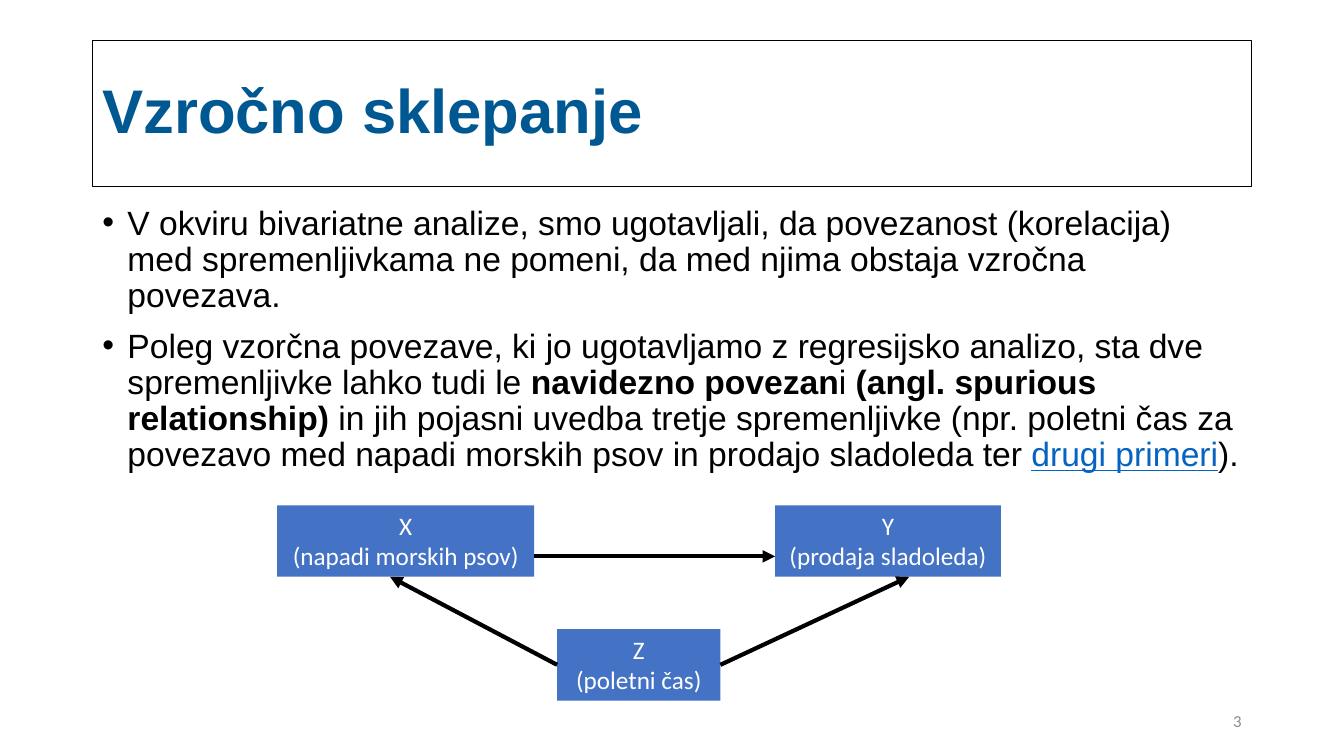
import pptx
import pptx.util
import pptx.dml.color
import pptx.enum.shapes
import pptx.enum.text
from lxml import etree

Pt = pptx.util.Pt
Align = pptx.enum.text.PP_ALIGN
Anchor = pptx.enum.text.MSO_ANCHOR
Kind = pptx.enum.shapes.MSO_SHAPE
Wire = pptx.enum.shapes.MSO_CONNECTOR

COLORS = {
    "white": "FFFFFF", "black": "000000", "title": "005892",
    "link": "0563C1", "box": "4472C4", "gray": "8C8C8C",
}
TITLE = "Vzročno sklepanje"
PAGE = "3"
POINTS = [
    [("V okviru bivariatne analize, smo ugotavljali, da povezanost (korelacija) "
      "med spremenljivkama ne pomeni, da med njima obstaja vzročna povezava.", "")],
    [("Poleg vzorčna povezave, ki jo ugotavljamo z regresijsko analizo, sta dve "
      "spremenljivke lahko tudi le ", ""),
     ("navidezno povezan", "bold"),
     ("i ", ""),
     ("(angl. spurious relationship) ", "bold"),
     ("in jih pojasni uvedba tretje spremenljivke (npr. poletni čas za povezavo "
      "med napadi morskih psov in prodajo sladoleda ter ", ""),
     ("drugi primeri", "link"),
     (").", "")],
]
BOXES = {
    "X": ("(napadi morskih psov)", 198, 361, 183.6),
    "Y": ("(prodaja sladoleda)", 553.7, 361, 161.3),
    "Z": ("(poletni čas)", 398, 449.4, 116.6),
}
HIGH = 51
ARROWS = [
    ("Z", 3, (514.6, 474.9), (649.4, 412)),
    ("Z", 1, (398, 474.9), (278.6, 412)),
    (None, None, (381.6, 397.4), (553.7, 397.4)),
]


def color(name):
    return pptx.dml.color.RGBColor.from_string(COLORS[name])


def style(run, size, tone, face="Arial", bold=False):
    run.font.size = Pt(size)
    run.font.name = face
    run.font.bold = bold
    run.font.color.rgb = color(tone)


def add_rect(slide, spot, fill):
    rect = slide.shapes.add_shape(Kind.RECTANGLE, *map(Pt, spot))
    rect.shadow.inherit = False
    rect.fill.solid()
    rect.fill.fore_color.rgb = color(fill)
    rect.line.fill.background()
    return rect


def add_title(slide):
    rect = add_rect(slide, (66, 28.75, 828, 104.4), "white")
    rect.line.color.rgb = color("black")
    rect.line.width = Pt(1)
    frame = rect.text_frame
    frame.text = TITLE
    frame.word_wrap = True
    frame.vertical_anchor = Anchor.MIDDLE
    para = frame.paragraphs[0]
    para.alignment = Align.LEFT
    para.line_spacing = 0.9
    style(para.runs[0], 44, "title", bold=True)


def add_body(slide):
    frame = slide.shapes.add_textbox(*map(Pt, (66, 143.75, 828, 342.7))).text_frame
    frame.word_wrap = True
    for i, parts in enumerate(POINTS):
        para = frame.add_paragraph() if i else frame.paragraphs[0]
        para.line_spacing = 0.9
        para.space_before = Pt(10)
        props = para._p.get_or_add_pPr()
        props.set("marL", str(Pt(18)))
        props.set("indent", str(-Pt(18)))
        for tag, key, value in (("buFont", "typeface", "Arial"), ("buChar", "char", "•")):
            etree.SubElement(props, pptx.oxml.ns.qn("a:" + tag)).set(key, value)
        for text, look in parts:
            run = para.add_run()
            run.text = text
            style(run, 24, "link" if look == "link" else "black", bold=look == "bold")
            run.font.underline = look == "link"


def add_page(slide):
    frame = slide.shapes.add_textbox(*map(Pt, (678, 500.5, 216, 28.75))).text_frame
    frame.text = PAGE
    frame.word_wrap = True
    frame.vertical_anchor = Anchor.MIDDLE
    frame.paragraphs[0].alignment = Align.RIGHT
    style(frame.paragraphs[0].runs[0], 12, "gray", "Calibri")


def add_box(slide, name):
    label, left, top, wide = BOXES[name]
    rect = add_rect(slide, (left, top, wide, HIGH), "box")
    frame = rect.text_frame
    frame.text = name + "\n" + label
    frame.word_wrap = False
    frame.vertical_anchor = Anchor.TOP
    for para in frame.paragraphs:
        para.alignment = Align.CENTER
        style(para.runs[0], 18, "white", "Calibri")
    return rect


def add_arrow(slide, start, end):
    wire = slide.shapes.add_connector(Wire.STRAIGHT, *map(Pt, start + end))
    wire.line.color.rgb = color("black")
    wire.line.width = Pt(3)
    tail = etree.SubElement(wire.line._get_or_add_ln(), pptx.oxml.ns.qn("a:tailEnd"))
    tail.set("type", "triangle")
    etree.SubElement(wire._element.spPr, pptx.oxml.ns.qn("a:effectLst"))
    return wire


def main():
    deck = pptx.Presentation()
    deck.slide_width, deck.slide_height = Pt(960), Pt(540)
    slide = deck.slides.add_slide(deck.slide_layouts[6])
    add_title(slide)
    add_body(slide)
    add_page(slide)
    boxes = {name: add_box(slide, name) for name in BOXES}
    for name, side, start, end in ARROWS:
        wire = add_arrow(slide, start, end)
        if name:
            wire.begin_connect(boxes[name], side)
    deck.save("out.pptx")


if __name__ == "__main__":
    main()
